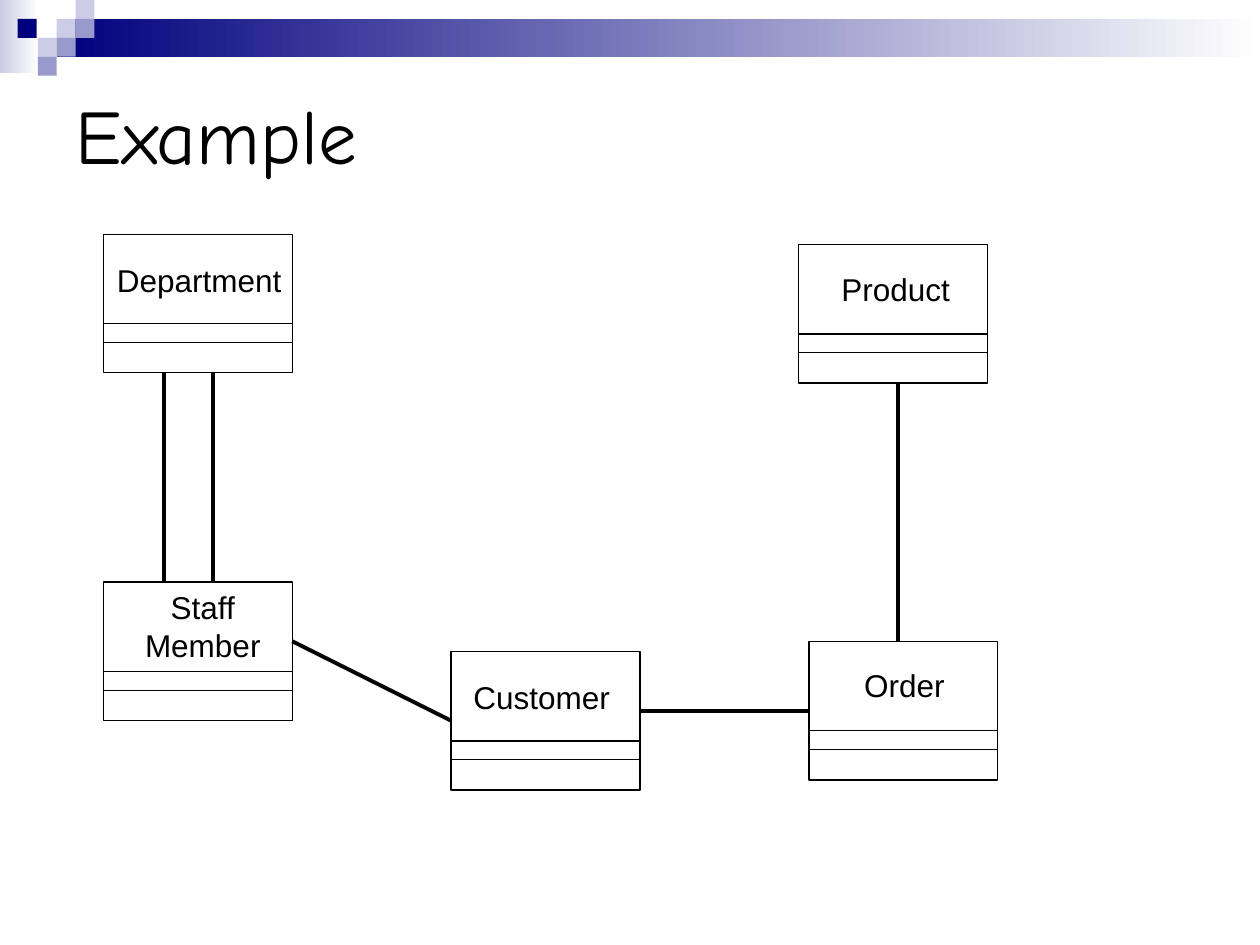
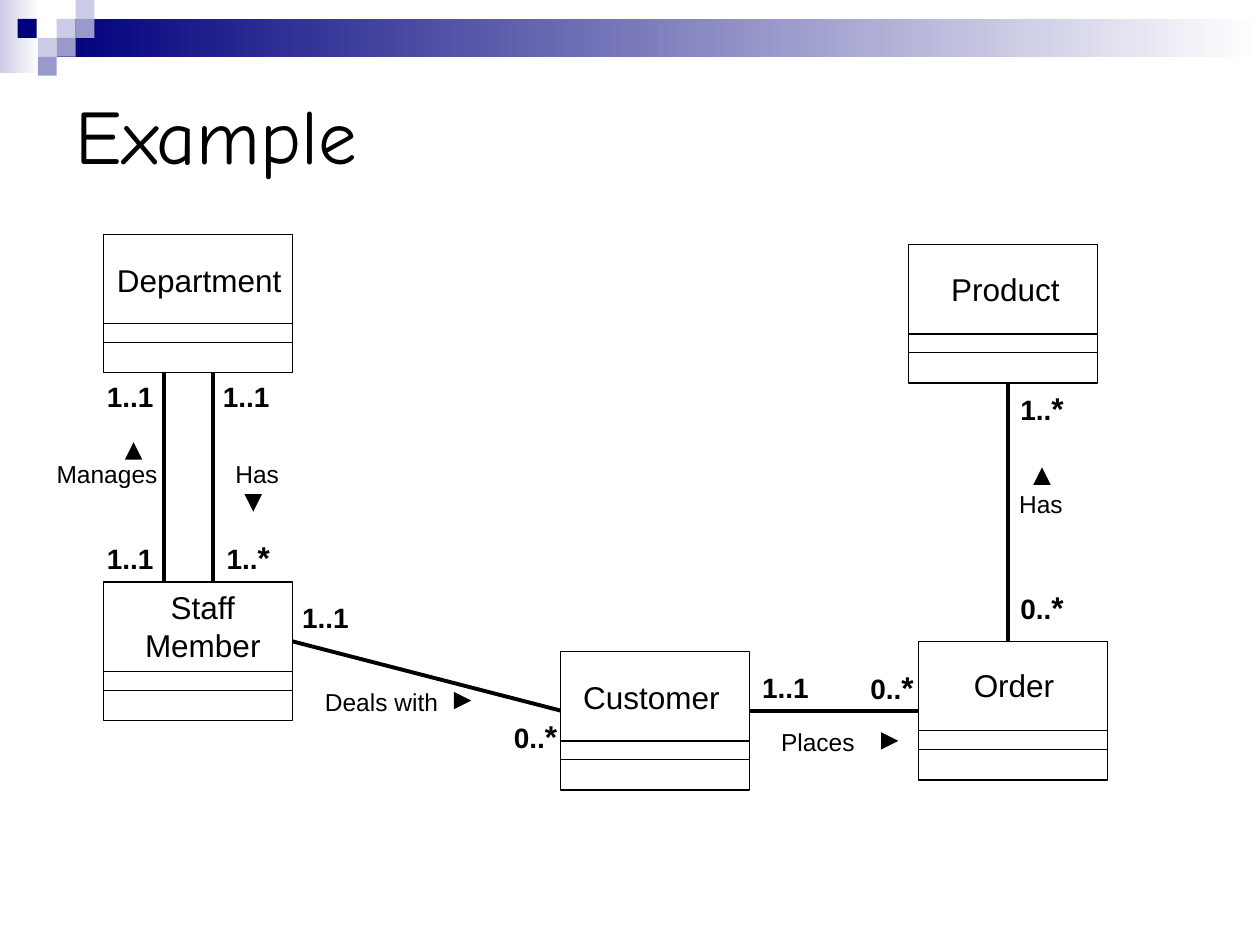
from dataclasses import dataclass
from typing import Optional

from lxml import etree
from pptx import Presentation
from pptx.dml.color import RGBColor
from pptx.enum.shapes import MSO_CONNECTOR, MSO_SHAPE
from pptx.enum.text import MSO_ANCHOR, MSO_AUTO_SIZE, PP_ALIGN
from pptx.oxml.ns import qn
from pptx.util import Inches, Pt

RECTANGLE = MSO_SHAPE.RECTANGLE
STRAIGHT = MSO_CONNECTOR.STRAIGHT
MIDDLE = MSO_ANCHOR.MIDDLE
GROW = MSO_AUTO_SIZE.SHAPE_TO_FIT_TEXT
LEFT, CENTER = PP_ALIGN.LEFT, PP_ALIGN.CENTER
LEFT_SITE = 1

COLORS = {
    "ink": "000000",
    "navy": "00007D",
    "lavender": "9999CC",
    "pale": "CCCCE6",
    "white": "FFFFFF",
}
TITLE_FONT, BODY_FONT = "Comic Neue", "Arial"
THIN, THICK = 0.75, 2.25
TILE = 0.15
CLASS_WIDTH, CLASS_HEIGHT = 1.5, 1.1
DIVIDERS = (0.71, 0.86)
WIDE_LAYOUT_SHIFT = 0.87


@dataclass(frozen=True)
class Block:
    left: float
    top: float
    width: float
    height: float
    color: str
    fade_to: Optional[str] = None


@dataclass(frozen=True)
class ClassBox:
    """A class; the name's place is relative to the box."""
    name: str
    left: float
    top: float
    name_left: float
    name_top: float
    name_width: float
    shifts: bool = False
    wraps: bool = False


@dataclass(frozen=True)
class Line:
    """A line; joined names the class whose left side it starts from."""
    start: tuple[float, float]
    end: tuple[float, float]
    joined: Optional[str] = None


@dataclass(frozen=True)
class Label:
    text: str
    left: float
    top: float
    width: float = 0


BANNER = [
    Block(0, 0, 0.31, 0.58, "pale", "white"),
    Block(0.45, TILE, 9.55, 2 * TILE, "navy", "white"),
    Block(0.14, TILE, TILE, TILE, "navy"),
] + [
    Block(column * TILE, row * TILE, TILE, TILE, color)
    for column, row, color in [
        (3, 1, "pale"), (4, 0, "pale"), (4, 1, "lavender"),
        (2, 2, "pale"), (3, 2, "lavender"), (2, 3, "lavender"),
    ]
]

CLASSES = [
    ClassBox("Department", 0.82, 1.86, 0.01, 0.16, 1.56),
    ClassBox("Staff Member", 0.82, 4.62, 0.16, 0, 1.26, wraps=True),
    ClassBox("Customer", 3.58, 5.17, 0.08, 0.16, 1.34, shifts=True),
    ClassBox("Product", 6.34, 1.94, 0.24, 0.15, 1.1, shifts=True),
    ClassBox("Order", 6.42, 5.09, 0.34, 0.15, 0.88, shifts=True),
]

MULTIPLICITIES = [
    Label("0..*", 8, 4.62),
    Label("1..*", 8, 3.04),
    Label("0..*", 6.81, 5.25),
    Label("1..1", 5.95, 5.27),
    Label("0..*", 3.98, 5.64),
    Label("1..1", 2.3, 4.72),
    Label("1..1", 0.75, 2.96),
    Label("1..1", 0.75, 4.25),
    Label("1..1", 1.67, 2.96),
    Label("1..*", 1.7, 4.22),
]

ROLES = [
    Label("Deals with", 2.48, 5.4, 1.18),
    Label("Has", 1.77, 3.59, 0.63),
    Label("Manages", 0.35, 3.59, 1.18),
    Label("Has", 7.99, 3.83, 0.63),
    Label("Places", 6.1, 5.72, 0.79),
]

READING_ARROWS = [
    Line((7.05, 5.88), (7.13, 5.88)),
    Line((3.66, 5.56), (3.74, 5.56)),
    Line((2.01, 3.98), (2.01, 4.06)),
    Line((8.27, 3.79), (8.27, 3.71)),
    Line((1.06, 3.59), (1.06, 3.51)),
]


def rgb(name: str) -> RGBColor:
    return RGBColor.from_string(COLORS[name])


def add_run(paragraph, text: str, size: float, font: str = BODY_FONT, bold: bool = False) -> None:
    run = paragraph.add_run()
    run.text = text
    run.font.name = font
    run.font.size = Pt(size)
    run.font.bold = bold
    run.font.color.rgb = rgb("ink")


def add_text_box(slide, left: float, top: float, width: float, height: float, wraps: bool):
    """Add an empty text box and return its paragraph."""
    box = slide.shapes.add_textbox(Inches(left), Inches(top), Inches(width), Inches(height))
    box.text_frame.word_wrap = wraps
    box.text_frame.auto_size = GROW
    return box.text_frame.paragraphs[0]


def add_line(shapes, line: Line, weight: float):
    points = [Inches(value) for value in line.start + line.end]
    connector = shapes.add_connector(STRAIGHT, *points)
    connector.line.color.rgb = rgb("ink")
    connector.line.width = Pt(weight)
    etree.SubElement(connector.element.spPr, qn("a:effectLst"))
    return connector


def add_block(slide, block: Block):
    shape = slide.shapes.add_shape(
        RECTANGLE, Inches(block.left), Inches(block.top), Inches(block.width), Inches(block.height))
    shape.shadow.inherit = False
    shape.line.fill.background()
    if block.fade_to:
        shape.fill.gradient()
        shape.fill.gradient_angle = 0
        for stop, color in zip(shape.fill.gradient_stops, (block.color, block.fade_to)):
            stop.color.rgb = rgb(color)
    else:
        shape.fill.solid()
        shape.fill.fore_color.rgb = rgb(block.color)
    return shape


def move_banner_to_layout(slide) -> None:
    """Draw the banner once and hand it to the layout that all slides share."""
    layout = slide.slide_layout
    for placeholder in list(layout.placeholders)[1:]:
        layout.shapes.element.remove(placeholder.element)
    blocks = [add_block(slide, block) for block in BANNER]
    for position, shape in enumerate(blocks, start=2):
        layout.shapes.element.insert(position, shape.element)


def add_title(slide, text: str) -> None:
    title = slide.shapes.title
    title.left, title.top = Inches(0.5), Inches(0.5)
    title.width, title.height = Inches(9), Inches(1.12)
    title.text_frame.vertical_anchor = MIDDLE
    paragraph = title.text_frame.paragraphs[0]
    paragraph.alignment = LEFT
    add_run(paragraph, text, 44, TITLE_FONT)


def add_class(slide, item: ClassBox, shift: float):
    """Draw a three-part class box with its name and return the rectangle."""
    left = item.left + (shift if item.shifts else 0)
    group = slide.shapes.add_group_shape()
    rectangle = group.shapes.add_shape(
        RECTANGLE, Inches(left), Inches(item.top), Inches(CLASS_WIDTH), Inches(CLASS_HEIGHT))
    rectangle.shadow.inherit = False
    rectangle.fill.background()
    rectangle.line.color.rgb = rgb("ink")
    rectangle.line.width = Pt(THIN)
    for offset in DIVIDERS:
        height = item.top + offset
        add_line(group.shapes, Line((left, height), (left + CLASS_WIDTH, height)), THIN)
    paragraph = add_text_box(slide, left + item.name_left, item.top + item.name_top,
                             item.name_width, 0.7 if item.wraps else 0.4, item.wraps)
    paragraph.alignment = CENTER if item.wraps else LEFT
    add_run(paragraph, item.name, 18)
    return rectangle


def add_class_diagram(slide, staff_customer: Line, shift: float = 0) -> None:
    """Draw the classes and associations, with the right-hand classes shifted."""
    boxes = {item.name: add_class(slide, item, shift) for item in CLASSES}
    associations = [
        Line((1.3, 4.62), (1.3, 2.96)),
        Line((1.69, 4.62), (1.69, 2.96)),
        staff_customer,
        Line((6.42 + shift, 5.64), (5.08 + shift, 5.64), "Order"),
        Line((7.13 + shift, 5.09), (7.13 + shift, 3.04)),
    ]
    for line in associations:
        connector = add_line(slide.shapes, line, THICK)
        if line.joined:
            connector.begin_connect(boxes[line.joined], LEFT_SITE)


def add_multiplicity(slide, label: Label) -> None:
    many = label.text.endswith("*")
    width, height = (0.6, 0.4) if many else (0.6, 0.37)
    paragraph = add_text_box(slide, label.left, label.top, width, height, False)
    add_run(paragraph, label.text.removesuffix("*"), 16, bold=True)
    if many:
        add_run(paragraph, "*", 18, bold=True)


def add_role(slide, label: Label) -> None:
    paragraph = add_text_box(slide, label.left, label.top, label.width, 0.34, True)
    add_run(paragraph, label.text, 14)


def add_reading_arrow(slide, line: Line) -> None:
    connector = add_line(slide.shapes, line, THIN)
    outline = connector.element.spPr.find(qn("a:ln"))
    etree.SubElement(outline, qn("a:tailEnd"), type="triangle", w="lg", len="lg")


def main() -> None:
    presentation = Presentation()
    presentation.slide_width, presentation.slide_height = Inches(10), Inches(7.5)
    title_only = presentation.slide_layouts[5]

    classes_slide = presentation.slides.add_slide(title_only)
    move_banner_to_layout(classes_slide)
    add_title(classes_slide, "Example")
    add_class_diagram(classes_slide, Line((3.58, 5.72), (2.32, 5.09), "Customer"))

    roles_slide = presentation.slides.add_slide(title_only)
    add_title(roles_slide, "Example")
    add_class_diagram(roles_slide, Line((4.45, 5.64), (2.32, 5.09)), WIDE_LAYOUT_SHIFT)
    for label in MULTIPLICITIES:
        add_multiplicity(roles_slide, label)
    for label in ROLES:
        add_role(roles_slide, label)
    for arrow in READING_ARROWS:
        add_reading_arrow(roles_slide, arrow)

    presentation.save("out.pptx")


if __name__ == "__main__":
    main()
